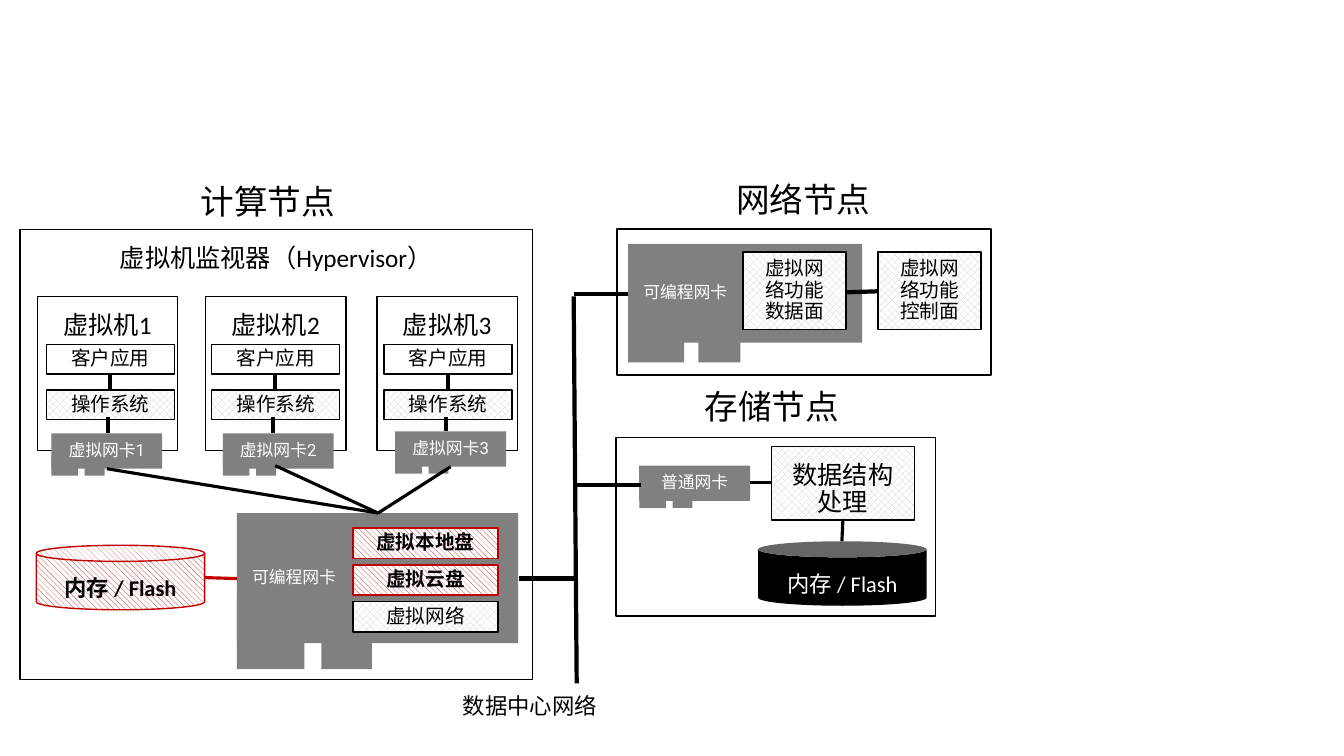
from dataclasses import dataclass
from typing import Optional

from lxml.etree import SubElement
from pptx import Presentation
from pptx.dml.color import RGBColor
from pptx.enum.dml import MSO_PATTERN
from pptx.enum.shapes import MSO_CONNECTOR, MSO_SHAPE
from pptx.enum.text import MSO_ANCHOR, MSO_AUTO_SIZE, PP_ALIGN
from pptx.oxml.ns import qn
from pptx.util import Inches, Pt

BLACK, WHITE, GRAY, RED, PALE = "000000", "FFFFFF", "808080", "C00000", "D0CECE"


@dataclass
class Look:
    fill: str = WHITE
    line: Optional[str] = BLACK
    hatch: Optional[MSO_PATTERN] = None
    ink: str = BLACK
    bold: bool = False


@dataclass
class Box:
    left: float
    top: float
    width: float
    height: float
    text: str = ""
    size: float = 14
    look: Look = None
    mid: bool = True
    kind: MSO_SHAPE = MSO_SHAPE.RECTANGLE


@dataclass
class Card:
    left: float
    top: float
    text: str
    width: float = 1.1
    height: float = 0.35
    align: PP_ALIGN = PP_ALIGN.CENTER


@dataclass
class Wire:
    x1: float
    y1: float
    x2: float
    y2: float
    width: float = 3
    color: str = BLACK


@dataclass
class Guest:
    """A virtual machine: its frame, inner stack, card and fan wire."""
    num: int
    left: float
    stack: float
    card: float
    top: float
    fan_x: float
    fan_y: float


PLAIN = Look()
DOTS = Look(fill=PALE, hatch=MSO_PATTERN.PERCENT_50)
HOT = Look(RED, RED, MSO_PATTERN.WIDE_DOWNWARD_DIAGONAL, bold=True)
DARK = Look(fill=BLACK, line=None, ink=WHITE)
CHIP = Look(fill=GRAY, line=None, ink=WHITE)

# Feet of a card as shares of its body: x, y, width, height
FEET = [(0, 0.63, 0.24, 0.57), (0.3, 0.6, 0.18, 0.6)]
FAN = (3.75, 5.09)

prs = Presentation()
prs.slide_width, prs.slide_height = Inches(13.33), Inches(7.5)
slide = prs.slides.add_slide(prs.slide_layouts[6])


def rgb(code: str) -> RGBColor:
    return RGBColor.from_string(code)


def write(shape, text: str, size: float, ink: str = BLACK, bold: bool = False,
          face: str = "Calibri", align: PP_ALIGN = PP_ALIGN.CENTER,
          mid: bool = True, pad: float = 0.2) -> None:
    frame = shape.text_frame
    frame.word_wrap = True
    frame.margin_left = frame.margin_right = Inches(pad)
    frame.margin_top = frame.margin_bottom = Inches(pad * 0.8)
    frame.vertical_anchor = MSO_ANCHOR.MIDDLE if mid else MSO_ANCHOR.TOP
    frame.text = text
    para = frame.paragraphs[0]
    para.alignment, para.line_spacing = align, 0.9
    for run in para.runs:
        run.font.name, run.font.size, run.font.bold = face, Pt(size), bold
        run.font.color.rgb = rgb(ink)


def shape_of(home, box: Box):
    look = box.look or PLAIN
    shape = home.add_shape(box.kind, Inches(box.left), Inches(box.top),
                           Inches(box.width), Inches(box.height))
    shape.shadow.inherit = False
    if look.hatch is None:
        shape.fill.solid()
        shape.fill.fore_color.rgb = rgb(look.fill)
    else:
        shape.fill.patterned()
        shape.fill.pattern = look.hatch
        shape.fill.fore_color.rgb = rgb(look.fill)
        shape.fill.back_color.rgb = rgb(WHITE)
    if look.line:
        shape.line.color.rgb = rgb(look.line)
        shape.line.width = Pt(1)
    else:
        shape.line.fill.background()
    return shape


def draw_box(box: Box) -> None:
    look = box.look or PLAIN
    shape = shape_of(slide.shapes, box)
    if box.text:
        write(shape, box.text, box.size, look.ink, look.bold, mid=box.mid)


def draw_card(card: Card) -> None:
    home = slide.shapes.add_group_shape().shapes
    for x, y, w, h in FEET:
        shape_of(home, Box(card.left + x * card.width, card.top + y * card.height,
                           w * card.width, h * card.height, look=CHIP))
    body = shape_of(home, Box(card.left, card.top, card.width, card.height, look=CHIP))
    write(body, card.text, 12, WHITE, face="Roboto", align=card.align, pad=0.15)


def draw_wire(wire: Wire) -> None:
    line = slide.shapes.add_connector(
        MSO_CONNECTOR.STRAIGHT, Inches(wire.x1), Inches(wire.y1),
        Inches(wire.x2), Inches(wire.y2))
    line.line.color.rgb = rgb(wire.color)
    line.line.width = Pt(wire.width)
    SubElement(line._element.spPr, qn("a:effectLst"))


def draw_label(left: float, top: float, height: float, text: str, size: float) -> None:
    label = slide.shapes.add_textbox(Inches(left), Inches(top), Inches(1.75), Inches(height))
    write(label, text, size, align=PP_ALIGN.LEFT, mid=False)
    label.text_frame.word_wrap = False
    label.text_frame.auto_size = MSO_AUTO_SIZE.SHAPE_TO_FIT_TEXT
    label.text_frame.paragraphs[0].space_after = Pt(6)


def draw_guest(guest: Guest) -> None:
    draw_box(Box(guest.left, 2.94, 1.39, 1.53, f"虚拟机{guest.num}", 18, mid=False))
    draw_card(Card(guest.card, guest.top, f"虚拟网卡{guest.num}"))
    draw_box(Box(guest.stack, 3.42, 1.27, 0.29, "客户应用"))
    draw_box(Box(guest.stack, 3.87, 1.27, 0.29, "操作系统", look=DOTS))
    draw_wire(Wire(guest.stack + 0.63, 3.71, guest.stack + 0.63, 3.87))
    draw_wire(Wire(guest.stack + 0.61, 4.14, guest.stack + 0.61, guest.top))
    draw_wire(Wire(guest.fan_x, guest.fan_y, *FAN, 2.25))


# Node frames
draw_box(Box(0.2, 2.28, 5.08, 4.46, "虚拟机监视器（Hypervisor）", 18, mid=False))
draw_box(Box(6.12, 2.27, 3.71, 1.45))
draw_box(Box(6.11, 4.34, 3.17, 1.77))

# Titles
draw_label(1.79, 1.68, 0.69, "计算节点", 24)
draw_label(7.1, 1.66, 0.69, "网络节点", 24)
draw_label(6.79, 3.71, 0.69, "存储节点", 24)
draw_label(4.39, 6.78, 0.57, "数据中心网络", 16)

# Network cards
for card in [Card(2.35, 5.09, "可编程网卡", 2.79, 1.29, PP_ALIGN.LEFT),
             Card(6.23, 2.42, "可编程网卡", 2.32, 0.98, PP_ALIGN.LEFT),
             Card(6.34, 4.62, "普通网卡")]:
    draw_card(card)

# Virtual machines
for guest in [Guest(1, 0.37, 0.46, 0.51, 4.3, 1.06, 4.65),
              Guest(2, 2.04, 2.1, 2.21, 4.3, 2.73, 4.62),
              Guest(3, 3.74, 3.81, 3.92, 4.28, 4.47, 4.63)]:
    draw_guest(guest)

# Card functions
for row, (text, look) in enumerate([("虚拟本地盘", HOT), ("虚拟云盘", HOT), ("虚拟网络", DOTS)]):
    draw_box(Box(3.5, 5.24 + 0.365 * row, 1.44, 0.3, text, look=look))
for left, text in [(7.37, "虚拟网络功能数据面"), (8.71, "虚拟网络功能控制面")]:
    draw_box(Box(left, 2.5, 1.02, 0.77, text, look=DOTS))

# Storage
draw_box(Box(7.65, 4.43, 1.42, 0.73, "数据结构处理", 18, DOTS, False))
for left, top, look in [(0.36, 5.41, HOT), (7.52, 5.37, DARK)]:
    draw_box(Box(left, top, 1.67, 0.64, "内存 / Flash", 16, look, False, MSO_SHAPE.CAN))

# Wires
for wire in [Wire(5.69, 2.94, 5.72, 6.78), Wire(5.69, 2.92, 6.23, 2.92),
             Wire(5.15, 5.74, 5.7, 5.74), Wire(5.72, 4.81, 6.36, 4.81),
             Wire(8.39, 2.9, 8.71, 2.89), Wire(7.65, 4.79, 7.44, 4.79, 2.25),
             Wire(8.36, 5.16, 8.35, 5.37, 2.25), Wire(2.03, 5.73, 2.35, 5.74, 2.25, RED)]:
    draw_wire(wire)

prs.save("out.pptx")
